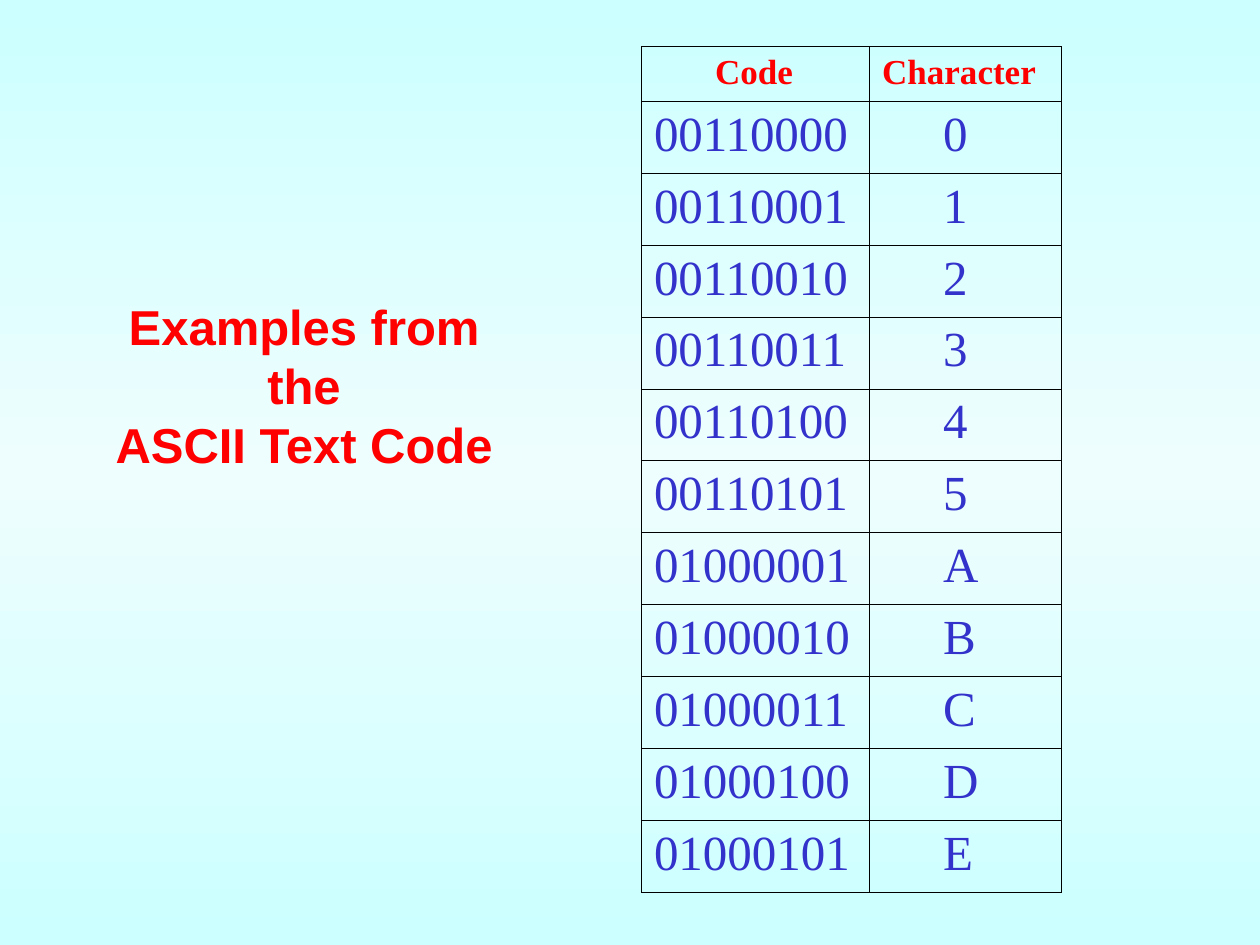
import copy
import dataclasses

import pptx
import pptx.dml.color
import pptx.enum.text
import pptx.oxml
import pptx.oxml.ns
import pptx.util

Cm = pptx.util.Cm
Pt = pptx.util.Pt


@dataclasses.dataclass(frozen=True)
class Theme:
    edge: str = "CCFFFF"
    middle: str = "EEFEFE"
    accent: str = "FF0000"
    ink: str = "3333CC"
    rule: str = "000000"
    heading_font: str = "Arial"
    table_font: str = "Times New Roman"
    large: int = 28
    small: int = 20
    rule_width: float = 0.45


THEME = Theme()
HEADING = {"name": THEME.heading_font, "size": Pt(THEME.large), "bold": True}
HEADER = {"name": THEME.table_font, "size": Pt(THEME.small), "bold": True}
ENTRY = {"name": THEME.table_font, "size": Pt(THEME.large), "bold": False}

TITLE_LINES = ("Examples from the", "ASCII Text Code")
COLUMN_NAMES = ("Code", "Character")
CHARACTERS = "012345ABCDE"
COLUMN_WIDTHS = (4.6, 3.86)
HEADER_HEIGHT = 1.1
ENTRY_HEIGHT = 1.45
INDENT = Cm(1.23)


def set_attributes(target, values):
    for name, value in values.items():
        setattr(target, name, value)


def add_span(para, text, values, color):
    span = para.add_run()
    span.text = text
    set_attributes(span.font, values)
    span.font.color.rgb = pptx.dml.color.RGBColor.from_string(color)


def paint_background(page):
    fill = page.background.fill
    fill.gradient()
    fill.gradient_angle = 270
    stop_list = next(page.element.iter(pptx.oxml.ns.qn("a:gsLst")))
    stop_list.append(copy.deepcopy(stop_list[0]))
    colors = (THEME.edge, THEME.middle, THEME.edge)
    for stop, position, color in zip(fill.gradient_stops, (0, 0.5, 1), colors):
        stop.position = position
        stop.color.rgb = pptx.dml.color.RGBColor.from_string(color)


def fill_title(box):
    set_attributes(box, {"left": Cm(1.47), "top": Cm(5.84),
                         "width": Cm(9.32), "height": Cm(2.64)})
    frame = box.text_frame
    set_attributes(frame, {"word_wrap": False,
                           "auto_size": pptx.enum.text.MSO_AUTO_SIZE.NONE,
                           "vertical_anchor": pptx.enum.text.MSO_ANCHOR.TOP})
    for number, line in enumerate(TITLE_LINES):
        para = frame.add_paragraph() if number else frame.paragraphs[0]
        set_attributes(para, {"alignment": pptx.enum.text.PP_ALIGN.CENTER,
                              "space_before": Pt(0),
                              "line_spacing": Pt(33.7)})
        add_span(para, line, HEADING, THEME.accent)


def outline_cell(cell):
    properties = cell._tc.get_or_add_tcPr()
    for index, side in enumerate("LRTB"):
        properties.insert(index, pptx.oxml.parse_xml(
            f'<a:ln{side} {pptx.oxml.ns.nsdecls("a")} w="{Pt(THEME.rule_width)}">'
            f'<a:solidFill><a:srgbClr val="{THEME.rule}"/></a:solidFill>'
            f'</a:ln{side}>'))


def fill_cell(cell, text, values, color, indented):
    cell.fill.background()
    outline_cell(cell)
    para = cell.text_frame.paragraphs[0]
    if indented:
        para._p.get_or_add_pPr().set("marL", str(INDENT))
    add_span(para, text, values, color)


def add_code_table(page):
    rows = [COLUMN_NAMES] + [(f"{ord(char):08b}", char) for char in CHARACTERS]
    heights = [HEADER_HEIGHT] + [ENTRY_HEIGHT] * len(CHARACTERS)
    table = page.shapes.add_table(
        len(rows), len(COLUMN_NAMES), Cm(12.93), Cm(0.94),
        Cm(sum(COLUMN_WIDTHS)), Cm(sum(heights))).table
    set_attributes(table, {"first_row": False, "horz_banding": False})
    for column, width in zip(table.columns, COLUMN_WIDTHS):
        column.width = Cm(width)
    for row, (texts, height) in enumerate(zip(rows, heights)):
        table.rows[row].height = Cm(height)
        values, color = (ENTRY, THEME.ink) if row else (HEADER, THEME.accent)
        indented_column = 1 if row else 0
        for column, text in enumerate(texts):
            fill_cell(table.cell(row, column), text, values, color,
                      column == indented_column)


def main():
    deck = pptx.Presentation()
    set_attributes(deck, {"slide_width": Cm(25.4), "slide_height": Cm(19.05)})
    page = deck.slides.add_slide(deck.slide_layouts.get_by_name("Title Only"))
    paint_background(page)
    add_code_table(page)
    fill_title(page.shapes.title)
    deck.save("out.pptx")


if __name__ == "__main__":
    main()
